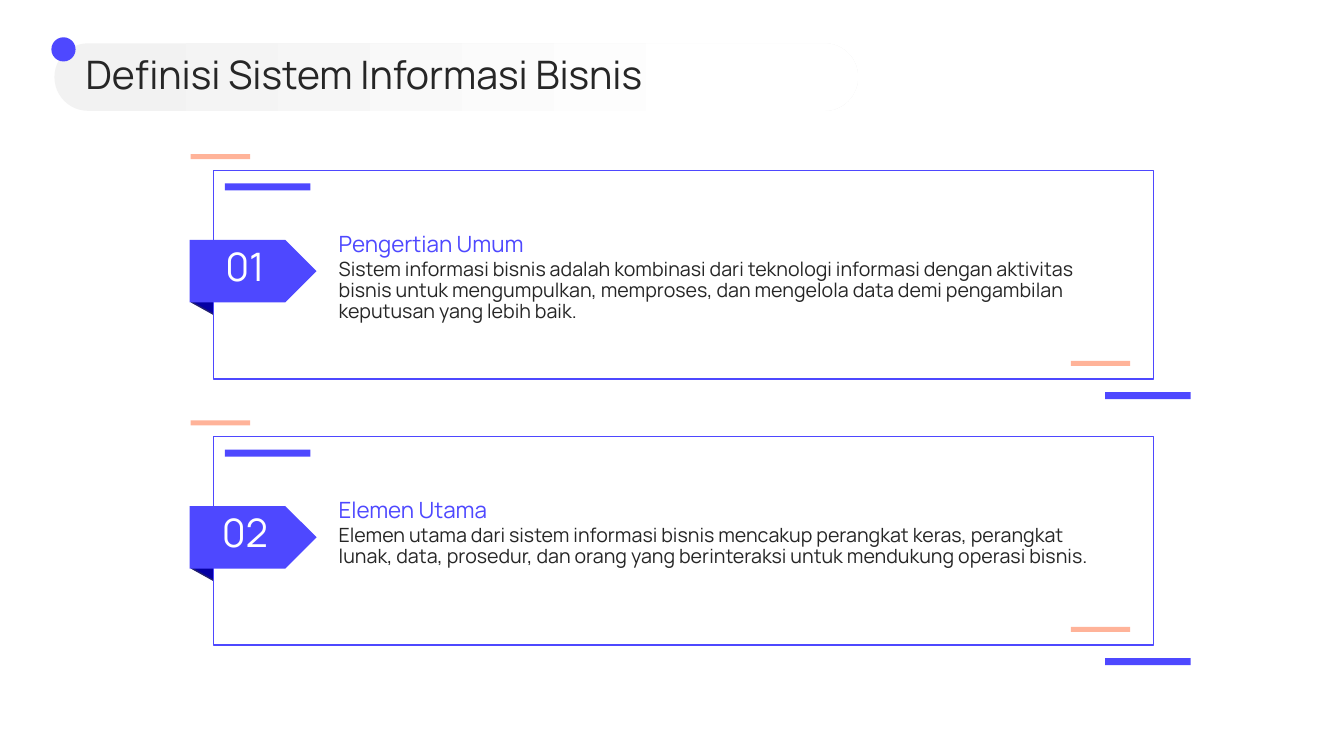
from dataclasses import dataclass

from pptx import Presentation
from pptx.dml.color import RGBColor
from pptx.enum.shapes import MSO_SHAPE
from pptx.enum.text import MSO_ANCHOR, PP_ALIGN
from pptx.util import Inches, Pt


@dataclass(frozen=True)
class Theme:
    font: str = "Manrope"
    accent: str = "4E48FF"
    fold: str = "0500A3"
    fold_line: str = "222070"
    peach: str = "FFB399"
    ink: str = "262626"
    white: str = "FFFFFF"
    band: str = "F2F2F2"
    title_size: int = 28
    heading_size: int = 16
    body_size: int = 14


class SlideBuilder:
    def __init__(self, slide, theme):
        self.slide = slide
        self.theme = theme

    def shape(self, kind, box, fill, line=None, rotation=0):
        shape = self.slide.shapes.add_shape(kind, *map(Inches, box))
        shape.shadow.inherit = False
        shape.rotation = rotation
        shape.fill.solid()
        shape.fill.fore_color.rgb = RGBColor.from_string(fill)
        if line:
            shape.line.color.rgb = RGBColor.from_string(line)
            shape.line.width = Pt(1)
        else:
            shape.line.fill.background()
        return shape

    def gradient_band(self, box, stops):
        band = self.shape(MSO_SHAPE.ROUNDED_RECTANGLE, box, self.theme.band)
        band.adjustments[0] = 0.5
        band.fill.gradient()
        band.fill.gradient_angle = 0
        for stop, (position, color) in zip(band.fill.gradient_stops, stops):
            stop.position = position
            stop.color.rgb = RGBColor.from_string(color)

    def text(self, box, text, size, color, align=PP_ALIGN.LEFT,
             anchor=MSO_ANCHOR.TOP, spacing=0.9):
        frame = self.slide.shapes.add_textbox(*map(Inches, box)).text_frame
        frame.word_wrap = True
        frame.vertical_anchor = anchor
        frame.margin_left = frame.margin_right = 0
        frame.margin_top = frame.margin_bottom = 0
        paragraph = frame.paragraphs[0]
        paragraph.text = text
        paragraph.alignment = align
        paragraph.line_spacing = spacing
        paragraph.font.name = self.theme.font
        paragraph.font.size = Pt(size)
        paragraph.font.color.rgb = RGBColor.from_string(color)

    def accent_bars(self, top):
        theme = self.theme
        for left, offset in ((10.96, 2.2), (2.23, 0.13)):
            self.shape(MSO_SHAPE.RECTANGLE, (left, top + offset, 0.85, 0.07), theme.accent)
        for left, offset in ((10.62, 1.89), (1.89, -0.16)):
            self.shape(MSO_SHAPE.RECTANGLE, (left, top + offset, 0.59, 0.05), theme.peach)

    def card(self, top, number, heading, body):
        theme = self.theme
        # Folded corner, frame and number tag
        self.shape(MSO_SHAPE.ISOSCELES_TRIANGLE, (1.94, top + 1.15, 0.28, 0.24),
                   theme.fold, theme.fold_line, rotation=29.1)
        self.shape(MSO_SHAPE.RECTANGLE, (2.12, top, 9.32, 2.07), theme.white, theme.accent)
        self.shape(MSO_SHAPE.PENTAGON, (1.88, top + 0.69, 1.26, 0.62), theme.accent)
        self.text((2.08, top + 0.71, 0.7, 0.58), number, theme.title_size,
                  theme.white, align=PP_ALIGN.CENTER, spacing=1)
        # Decoration and wording
        self.accent_bars(top)
        self.text((3.36, top + 0.28, 7.73, 0.58), heading, theme.heading_size,
                  theme.accent, anchor=MSO_ANCHOR.BOTTOM)
        self.text((3.36, top + 0.88, 7.73, 0.89), body, theme.body_size, theme.ink)

    def title(self, text):
        theme = self.theme
        self.gradient_band((0.54, 0.43, 7.97, 0.67),
                           ((0.05, theme.band), (0.85, theme.white)))
        self.shape(MSO_SHAPE.OVAL, (0.51, 0.37, 0.24, 0.24), theme.accent)
        self.text((0.85, 0.51, 11.74, 0.51), text, theme.title_size, theme.ink,
                  anchor=MSO_ANCHOR.MIDDLE)


CARDS = [
    ("Pengertian Umum",
     "Sistem informasi bisnis adalah kombinasi dari teknologi informasi dengan "
     "aktivitas bisnis untuk mengumpulkan, memproses, dan mengelola data demi "
     "pengambilan keputusan yang lebih baik."),
    ("Elemen Utama",
     "Elemen utama dari sistem informasi bisnis mencakup perangkat keras, perangkat "
     "lunak, data, prosedur, dan orang yang berinteraksi untuk mendukung operasi bisnis."),
]
FIRST_CARD_TOP = 1.69
CARD_PITCH = 2.64


def main():
    presentation = Presentation()
    presentation.slide_width = Inches(13.33)
    presentation.slide_height = Inches(7.5)
    slide = presentation.slides.add_slide(presentation.slide_layouts[6])
    builder = SlideBuilder(slide, Theme())

    # Two numbered cards, one below the other
    for index, (heading, body) in enumerate(CARDS):
        builder.card(FIRST_CARD_TOP + index * CARD_PITCH, f"{index + 1:02d}", heading, body)

    # Heading of the slide
    builder.title("Definisi Sistem Informasi Bisnis")
    presentation.save("out.pptx")


if __name__ == "__main__":
    main()
